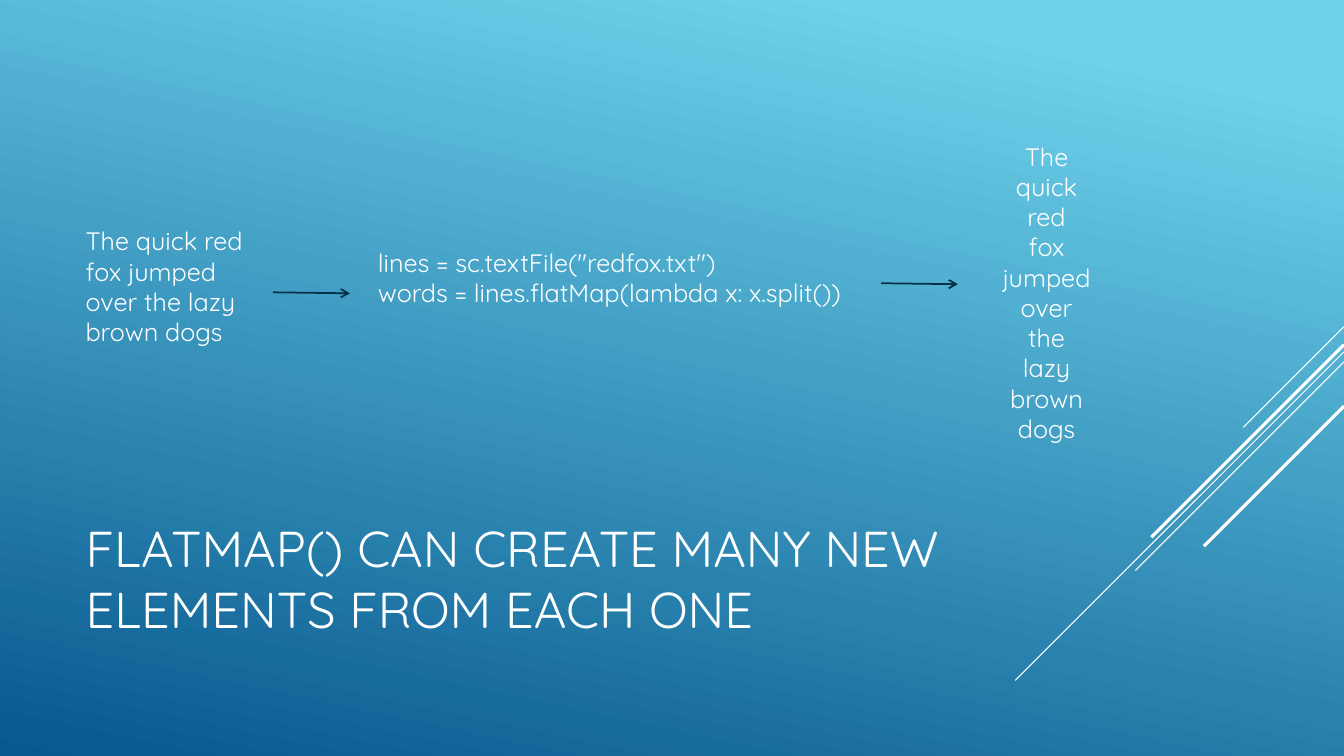
from pptx import Presentation
from pptx.dml.color import RGBColor
from pptx.enum.shapes import MSO_CONNECTOR
from pptx.enum.text import MSO_ANCHOR, MSO_AUTO_SIZE, PP_ALIGN
from pptx.oxml.ns import qn
from pptx.util import Inches, Pt
from lxml import etree

STRAIGHT = MSO_CONNECTOR.STRAIGHT
MIDDLE = MSO_ANCHOR.MIDDLE
NO_FIT, GROW = MSO_AUTO_SIZE.NONE, MSO_AUTO_SIZE.SHAPE_TO_FIT_TEXT
LEFT, CENTER = PP_ALIGN.LEFT, PP_ALIGN.CENTER

FONT = "Quicksand"
WHITE, NAVY = "FFFFFF", "043148"
SKY, DEEP_BLUE = "6ED2EB", "06588E"
SLIDE_W, SLIDE_H = 13.33, 7.5

TITLE = "FLATMAP() CAN CREATE MANY NEW ELEMENTS FROM EACH ONE"
INPUT_LINES = ["The quick red", "fox jumped", "over the lazy", "brown dogs"]
CODE_LINES = ['lines = sc.textFile("redfox.txt")',
              "words = lines.flatMap(lambda x: x.split())"]
WORDS = " ".join(INPUT_LINES).split()

# Start height at the right edge, diagonal run, line width
STRIPES = [(3.24, 1.0, 0.75), (3.49, 3.26, 0.75), (3.59, 2.07, 0.75),
           (3.42, 1.91, 2.25), (4.03, 1.39, 2.25)]


def rgb(value):
    return RGBColor.from_string(value)


def paint_background(s):
    fill = s.background.fill
    fill.gradient()
    fill.gradient_angle = 360 - 102
    for stop, position, color in zip(fill.gradient_stops, (0.1, 1), (SKY, DEEP_BLUE)):
        stop.position = position
        stop.color.rgb = rgb(color)


def format_text(tf, size, align):
    tf.word_wrap = True
    for p in tf.paragraphs:
        p.alignment = align
        for r in p.runs:
            r.font.name = FONT
            r.font.size = Pt(size)
            r.font.color.rgb = rgb(WHITE)


def set_title(s, text, left, top, width, height):
    sp = s.shapes.title
    sp.left, sp.top = Inches(left), Inches(top)
    sp.width, sp.height = Inches(width), Inches(height)
    tf = sp.text_frame
    tf.text = text
    tf.auto_size = NO_FIT
    tf.vertical_anchor = MIDDLE
    format_text(tf, 36, LEFT)


def add_text(s, lines, left, top, width, height, align=LEFT):
    sp = s.shapes.add_textbox(Inches(left), Inches(top), Inches(width), Inches(height))
    tf = sp.text_frame
    tf.text = "\n".join(lines)
    tf.auto_size = GROW
    format_text(tf, 18, align)


def add_line(s, x1, y1, x2, y2, color, width, arrow=False):
    line = s.shapes.add_connector(STRAIGHT, Inches(x1), Inches(y1), Inches(x2), Inches(y2))
    line.line.color.rgb = rgb(color)
    line.line.width = Pt(width)
    if arrow:
        ln = line.line._get_or_add_ln()
        etree.SubElement(ln, qn("a:tailEnd"), type="arrow")
    etree.SubElement(line._element.spPr, qn("a:effectLst"))


def main():
    prs = Presentation()
    prs.slide_width, prs.slide_height = Inches(SLIDE_W), Inches(SLIDE_H)
    s = prs.slides.add_slide(prs.slide_layouts[5])
    paint_background(s)

    # Diagonal stripes
    for y, run, width in STRIPES:
        add_line(s, SLIDE_W, y, SLIDE_W - run, y + run, WHITE, width)

    set_title(s, TITLE, 0.75, 4.91, 9.33, 1.65)

    # Input text, code and resulting words
    add_text(s, INPUT_LINES, 0.75, 2.19, 2.65, 1.31)
    add_text(s, CODE_LINES, 3.65, 2.4, 5.25, 1.31)
    add_text(s, WORDS, 8.88, 1.35, 3, 3.43, CENTER)

    # Arrows between the steps
    for x, y in [(2.71, 2.9), (8.74, 2.81)]:
        add_line(s, x, y, x + 0.76, y + 0.01, NAVY, 1.25, arrow=True)

    prs.save("out.pptx")


if __name__ == "__main__":
    main()
